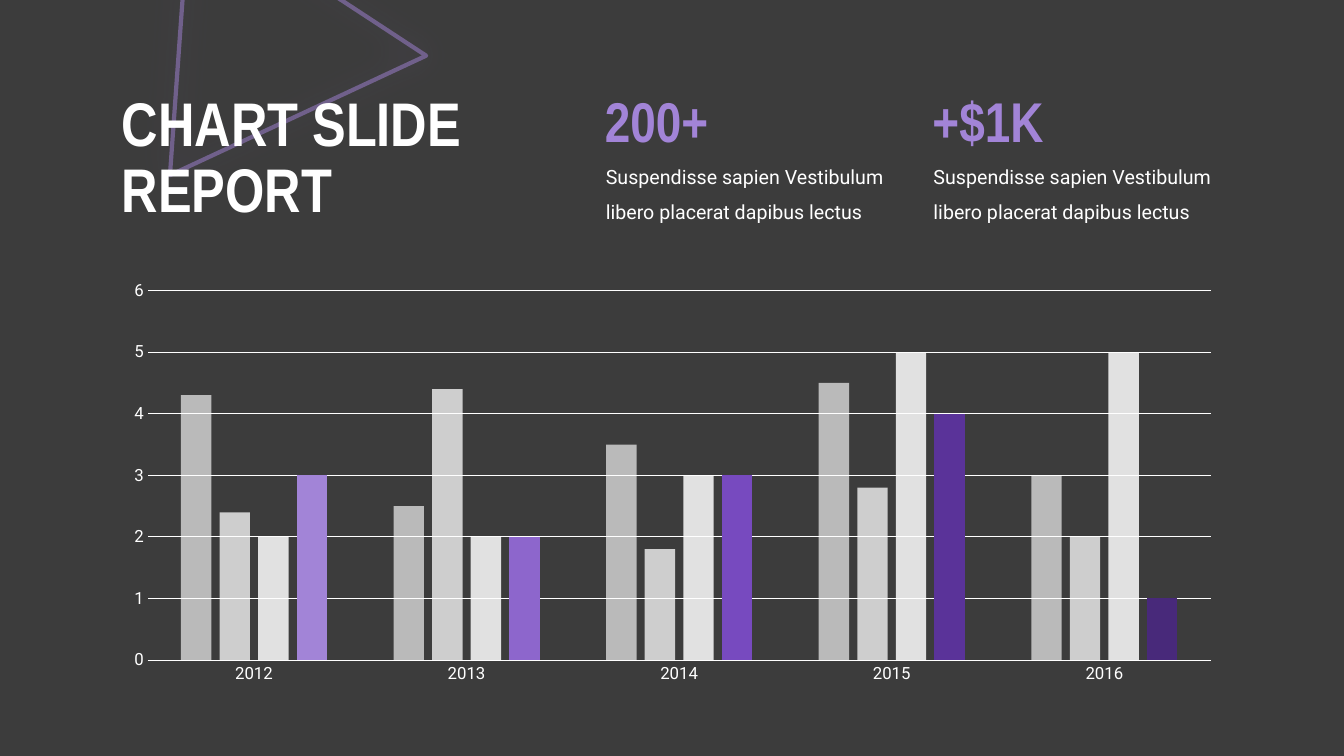
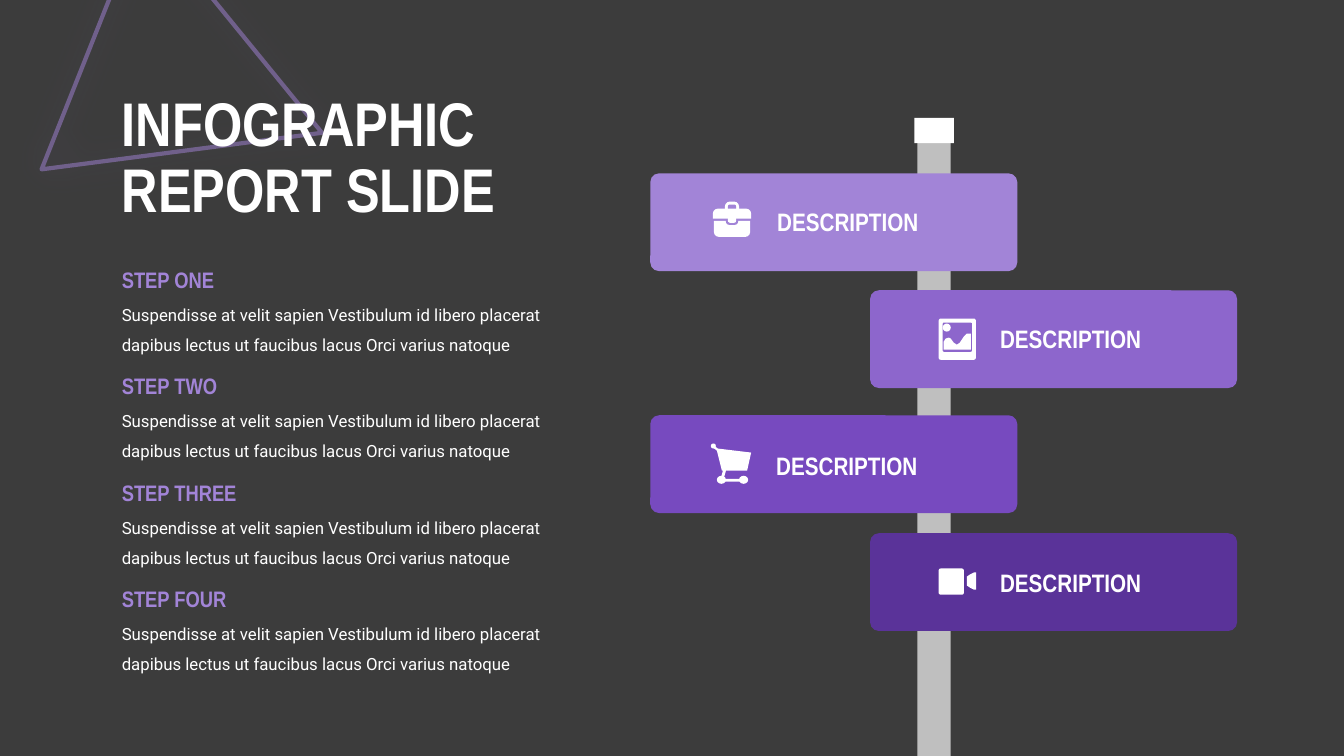
from lxml import etree
from pptx import Presentation
from pptx import util as u
from pptx.chart import data as chart_data
from pptx.dml.color import RGBColor
from pptx.enum import chart as charts, shapes, text
from pptx.oxml.ns import qn

Inches = u.Inches
Kind = shapes.MSO_SHAPE
BACKGROUND = RGBColor(0x3C, 0x3C, 0x3C)
WHITE = RGBColor(0xFF, 0xFF, 0xFF)
GREY = RGBColor(0xBF, 0xBF, 0xBF)
LILAC = RGBColor(0xA2, 0x84, 0xD7)
LAVENDER = RGBColor(0x8D, 0x66, 0xCC)
VIOLET = RGBColor(0x77, 0x4A, 0xBF)
PURPLE = RGBColor(0x5A, 0x33, 0x99)
INDIGO = RGBColor(0x48, 0x29, 0x7A)
HEADING_FONT = "Arial Narrow"
BODY_FONT = "Roboto"


def add_text(slide, content, left, top, width, height, size, color=WHITE,
             heading=True, spacing=1.0, anchor=text.MSO_ANCHOR.TOP):
    frame = slide.shapes.add_textbox(
        Inches(left), Inches(top), Inches(width), Inches(height)).text_frame
    frame.word_wrap = True
    frame.vertical_anchor = anchor
    paragraph = frame.paragraphs[0]
    paragraph.text = content
    paragraph.line_spacing = spacing
    for run in paragraph.runs:
        run.font.name = HEADING_FONT if heading else BODY_FONT
        run.font.size = u.Pt(size)
        run.font.bold = heading
        run.font.color.rgb = color


def add_block(slide, kind, left, top, width, height, color, corner=None, rotation=0):
    shape = slide.shapes.add_shape(
        kind, Inches(left), Inches(top), Inches(width), Inches(height))
    shape.shadow.inherit = False
    shape.fill.solid()
    shape.fill.fore_color.rgb = color
    shape.line.fill.background()
    shape.rotation = rotation
    if corner is not None:
        shape.adjustments[0] = corner
    return shape


presentation = Presentation()
presentation.slide_width = Inches(13.33)
presentation.slide_height = Inches(7.5)
translucent = []

pages = [
    ("CHART SLIDE\vREPORT", 1.64, -0.76, 94.1),
    ("INFOGRAPHIC\vREPORT SLIDE", 0.69, -0.36, 111.7),
]
for title, left, top, rotation in pages:
    slide = presentation.slides.add_slide(presentation.slide_layouts[6])
    slide.background.fill.solid()
    slide.background.fill.fore_color.rgb = BACKGROUND
    triangle = add_block(slide, Kind.ISOSCELES_TRIANGLE, left, top, 2.73, 2.45,
                         LILAC, rotation=rotation)
    triangle.fill.background()
    triangle.line.color.rgb = LILAC
    triangle.line.width = u.Pt(3)
    effects = triangle._element.spPr.find(qn("a:effectLst"))
    glow = etree.SubElement(effects, qn("a:outerShdw"), blurRad=str(u.Pt(25)), dist="0",
                            algn="ctr", rotWithShape="0")
    glow_color = etree.SubElement(glow, qn("a:srgbClr"), val=str(LILAC))
    outline_color = triangle._element.xpath(".//a:ln//a:srgbClr")[0]
    translucent += [(glow_color, 35), (outline_color, 50)]
    add_text(slide, title, 1.11, 0.79, 5.62, 1.58, 44, spacing=0.9,
             anchor=text.MSO_ANCHOR.MIDDLE)

chart_slide, sign_slide = presentation.slides

figures = chart_data.CategoryChartData()
figures.categories = ["2012", "2013", "2014", "2015", "2016"]
figures.add_series("Series 1", (4.3, 2.5, 3.5, 4.5, 3))
figures.add_series("Series 2", (2.4, 4.4, 1.8, 2.8, 2))
figures.add_series("Series 3", (2, 2, 3, 5, 5))
figures.add_series("Series 4", (3, 2, 3, 4, 1))
chart = chart_slide.shapes.add_chart(
    charts.XL_CHART_TYPE.COLUMN_CLUSTERED, Inches(1.11), Inches(2.7),
    Inches(11.12), Inches(4.17), figures).chart
chart.has_legend = False
chart.has_title = False
chart.font.name = BODY_FONT
chart.font.size = u.Pt(10)
chart.font.color.rgb = WHITE
for axis in (chart.category_axis, chart.value_axis):
    axis.major_tick_mark = charts.XL_TICK_MARK.NONE
    axis.minor_tick_mark = charts.XL_TICK_MARK.NONE
    axis.tick_labels.font.name = BODY_FONT
    axis.tick_labels.font.size = u.Pt(12)
    axis.tick_labels.font.color.rgb = WHITE
chart.value_axis.minimum_scale = 0
chart.value_axis.maximum_scale = 6
chart.value_axis.major_unit = 1
chart.value_axis.has_major_gridlines = True
chart.value_axis.format.line.fill.background()
for line in (chart.category_axis.format.line, chart.value_axis.major_gridlines.format.line):
    line.color.rgb = WHITE
    line.width = u.Pt(0.75)

plot = chart.plots[0]
plot.vary_by_categories = False
plot.gap_width = 219
plot.overlap = -27
for series, color, opacity in zip(plot.series, (WHITE, WHITE, WHITE, LILAC), (65, 75, 85, 100)):
    series.invert_if_negative = False
    series.format.fill.solid()
    series.format.fill.fore_color.rgb = color
    translucent.append((series._element.xpath("c:spPr//a:srgbClr")[0], opacity))
for index, color in enumerate((LAVENDER, VIOLET, PURPLE, INDIGO), start=1):
    fill = plot.series[3].points[index].format.fill
    fill.solid()
    fill.fore_color.rgb = color

for left, figure in ((5.9, "200+"), (9.15, "+$1K")):
    add_text(chart_slide, "Suspendisse sapien Vestibulum libero placerat dapibus lectus",
             left + 0.01, 1.47, 3.29, 0.77, 14, heading=False, spacing=1.5)
    add_text(chart_slide, figure, left, 0.81, 1.79, 0.77, 40, LILAC)

for color, opacity in translucent:
    etree.SubElement(color, qn("a:alpha"), val=str(opacity * 1000))

add_block(sign_slide, Kind.RECTANGLE, 9.1, 1.32, 0.33, 6.18, GREY)
add_block(sign_slide, Kind.RECTANGLE, 9.07, 1.17, 0.39, 0.25, WHITE)
signs = [
    (6.45, 1.72, LILAC, 7.61, 2.0),
    (8.63, 2.88, LAVENDER, 9.82, 3.16),
    (6.45, 4.12, VIOLET, 7.6, 4.42),
    (8.63, 5.29, PURPLE, 9.82, 5.58),
]
for left, top, color, label_left, label_top in signs:
    add_block(sign_slide, Kind.ROUNDED_RECTANGLE, left, top, 3.64, 0.97, color, 0.09)
    add_text(sign_slide, "DESCRIPTION", label_left, label_top, 1.88, 0.4, 18)

briefcase = [
    (Kind.ROUNDED_RECTANGLE, 7.19, 2.0, 0.14, 0.12, WHITE, 0.4),
    (Kind.ROUNDED_RECTANGLE, 7.22, 2.03, 0.08, 0.06, LILAC, 0.3),
    (Kind.ROUND_2_SAME_RECTANGLE, 7.08, 2.19, 0.36, 0.16, WHITE, 0.31, 180),
    (Kind.ROUND_2_SAME_RECTANGLE, 7.2, 2.17, 0.12, 0.06, LILAC, 0.5, 180),
    (Kind.ROUND_2_SAME_RECTANGLE, 7.07, 2.07, 0.38, 0.1, WHITE, 0.5),
    (Kind.ROUND_2_SAME_RECTANGLE, 7.22, 2.16, 0.08, 0.05, WHITE, 0.4, 180),
]
photo = [
    (Kind.ROUNDED_RECTANGLE, 9.31, 3.16, 0.37, 0.41, WHITE, 0.06),
    (Kind.ROUNDED_RECTANGLE, 9.35, 3.2, 0.29, 0.29, LAVENDER, 0.05),
    (Kind.OVAL, 9.35, 3.21, 0.08, 0.08, WHITE),
]
cart = [
    (Kind.OVAL, 7.05, 4.4, 0.05, 0.05, WHITE),
    (Kind.OVAL, 7.11, 4.72, 0.09, 0.08, WHITE),
    (Kind.OVAL, 7.33, 4.72, 0.09, 0.08, WHITE),
    (Kind.RECTANGLE, 7.18, 4.75, 0.17, 0.03, WHITE),
]
camera = [(Kind.ROUNDED_RECTANGLE, 9.31, 5.64, 0.25, 0.26, WHITE, 0.08)]
for part in briefcase + photo + cart + camera:
    add_block(sign_slide, *part)

mountains = [(9.36, 3.39), (9.38, 3.36), (9.41, 3.35), (9.43, 3.36), (9.46, 3.4), (9.49, 3.42),
             (9.52, 3.4), (9.56, 3.34), (9.59, 3.31), (9.63, 3.31), (9.63, 3.47), (9.36, 3.47)]
basket = [(7.08, 4.42), (7.12, 4.45), (7.45, 4.49), (7.41, 4.67), (7.2, 4.67), (7.18, 4.74),
          (7.15, 4.74), (7.17, 4.67), (7.16, 4.67), (7.11, 4.47), (7.07, 4.44)]
lens = [(9.59, 5.72), (9.62, 5.7), (9.66, 5.68), (9.68, 5.68), (9.68, 5.85), (9.66, 5.85),
        (9.62, 5.83), (9.59, 5.81)]
for outline in (mountains, basket, lens):
    points = [(Inches(x), Inches(y)) for x, y in outline]
    builder = sign_slide.shapes.build_freeform(*points[0])
    builder.add_line_segments(points[1:], close=True)
    shape = builder.convert_to_shape()
    shape.shadow.inherit = False
    shape.fill.solid()
    shape.fill.fore_color.rgb = WHITE
    shape.line.fill.background()

step_gap = (5.76 - 2.59) / 3
for index, number in enumerate(("ONE", "TWO", "THREE", "FOUR")):
    top = 2.59 + index * step_gap
    add_text(sign_slide, "Suspendisse at velit sapien Vestibulum id libero placerat "
             "dapibus lectus ut faucibus lacus Orci varius natoque",
             1.11, top + 0.28, 4.5, 0.67, 12, heading=False, spacing=1.5)
    add_text(sign_slide, f"STEP {number}", 1.11, top, 2.45, 0.37, 16, LILAC)

presentation.save("out.pptx")
